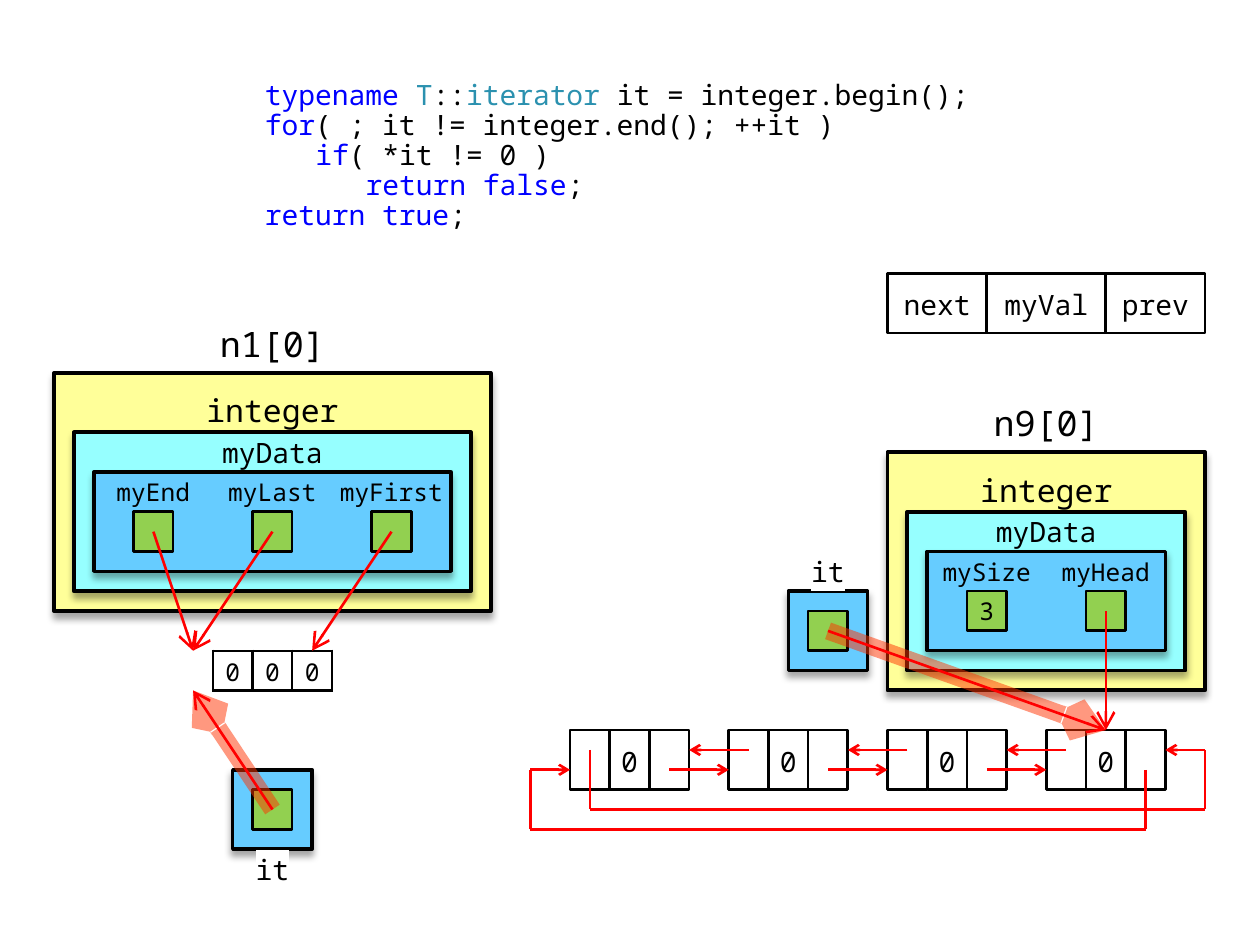
from lxml import etree
from pptx import Presentation
from pptx.dml.color import RGBColor
from pptx.enum.shapes import MSO_CONNECTOR, MSO_SHAPE
from pptx.enum.text import MSO_ANCHOR, PP_ALIGN
from pptx.oxml.ns import qn
from pptx.util import Inches, Pt

RECT, PROCESS = MSO_SHAPE.RECTANGLE, MSO_SHAPE.FLOWCHART_PROCESS
STRAIGHT = MSO_CONNECTOR.STRAIGHT
MIDDLE, CENTER = MSO_ANCHOR.MIDDLE, PP_ALIGN.CENTER

BLACK = RGBColor(0, 0, 0)
BLUE = RGBColor(0, 0, 0xFF)
TEAL = RGBColor(0x2B, 0x91, 0xAF)
RED = RGBColor(0xFF, 0, 0)
ORANGE = RGBColor(0xFF, 0x33, 0)
YELLOW = RGBColor(0xFF, 0xFF, 0x99)
CYAN = RGBColor(0x96, 0xFF, 0xFF)
SKY = RGBColor(0x66, 0xCC, 0xFF)
GREEN = RGBColor(0x92, 0xD0, 0x50)
FONT = "Noto Sans Mono"

# Content: places and sizes are in grid steps of 4 mm
CODE = [  # (indent in characters, coloured pieces)
    (0, [("typename ", BLUE), ("T", TEAL), ("::", BLACK), ("iterator", TEAL),
         (" it = integer.begin();", BLACK)]),
    (0, [("for", BLUE), ("( ; it != integer.end(); ++it )", BLACK)]),
    (3, [("if", BLUE), ("( *it != 0 )", BLACK)]),
    (6, [("return false", BLUE), (";", BLACK)]),
    (0, [("return true", BLUE), (";", BLACK)]),
]
OBJECTS = [  # name, left, top, width, fields with their shown values
    ("n1[0]", 0, 0, 22, [("myEnd", ""), ("myLast", ""), ("myFirst", "")]),
    ("n9[0]", 42, 4, 16, [("mySize", "3"), ("myHead", "")]),
]
ITERATORS = [(37, 11, -2), (9, 20, 4)]  # left, top, label offset
ARRAY = ["0", "0", "0"]
LEGEND = [("next", 5), ("myVal", 6), ("prev", 5)]
NODE_CELLS = [("", 2), ("0", 2), ("", 2)]
NODE_LEFTS = [26 + 8 * i for i in range(4)]
NODE_TOP = 18
POINTERS = [((17, 8), (13, 14)), ((11, 8), (7, 14)), ((5, 8), (7, 14)),
            ((53, 12), (53, 18))]
ITERATOR_POINTERS = [((39, 13), (53, 18)), ((11, 22), (7, 16))]
LOOPS = [
    [(27, 19), (27, 22), (58, 22), (58, 19), (56, 19)],
    [(55, 20), (55, 23), (24, 23), (24, 20), (26, 20)],
]

STEP = Inches(0.4 / 2.54)

deck = Presentation()
deck.slide_width, deck.slide_height = Inches(10), Inches(7.5)
page = deck.slides.add_slide(deck.slide_layouts[6])


def spot(col, row):
    return Inches(0.43) + col * STEP, Inches(2.96) + row * STEP


def area(col, row, width, height):
    return (*spot(col, row), width * STEP, height * STEP)


def child(parent, tag, **values):
    element = etree.SubElement(parent, qn(tag))
    for key, value in values.items():
        element.set(key, str(value))
    return element


def add_span(para, text, size, color=BLACK):
    span = para.add_run()
    span.text = text
    for key, value in {"name": FONT, "size": Pt(size)}.items():
        setattr(span.font, key, value)
    span.font.color.rgb = color
    return span


def write(shape, text, size, insets=(0.05, 0.05)):
    frame = shape.text_frame
    formats = {"word_wrap": True, "vertical_anchor": MIDDLE,
               "margin_left": 0, "margin_right": 0,
               "margin_top": Inches(insets[0]), "margin_bottom": Inches(insets[1])}
    for key, value in formats.items():
        setattr(frame, key, value)
    frame.paragraphs[0].alignment = CENTER
    return add_span(frame.paragraphs[0], text, size)


def add_label(text, place, size, insets=(0.05, 0.05)):
    return write(page.shapes.add_textbox(*area(*place)), text, size, insets)


def add_box(place, fill=None, line=1.5, kind=RECT, shadow=False):
    box = page.shapes.add_shape(kind, *area(*place))
    box.shadow.inherit = False
    if fill is None:
        box.fill.background()
    else:
        box.fill.solid()
        box.fill.fore_color.rgb = fill
    box.line.color.rgb = BLACK
    box.line.width = Pt(line)
    if shadow:
        effects = box._element.spPr.find(qn("a:effectLst"))
        outer = child(effects, "a:outerShdw", blurRad=Pt(4), dist=Pt(3),
                      dir=5400000, rotWithShape=0)
        child(child(outer, "a:srgbClr", val="000000"), "a:alpha", val=35000)
    return box


def add_line(start, end, head=None, color=RED, width=1.5, alpha=None):
    line = page.shapes.add_connector(STRAIGHT, *spot(*start), *spot(*end))
    line.line.color.rgb = color
    line.line.width = Pt(width)
    props = line._element.spPr
    stroke = props.find(qn("a:ln"))
    if alpha:
        child(stroke.find(".//" + qn("a:srgbClr")), "a:alpha", val=alpha * 1000)
    if head:
        child(stroke, "a:tailEnd", type="arrow", w=head, len=head)
    child(props, "a:effectLst")


def add_cells(left, top, cells):
    for text, width in cells:
        box = add_box((left, top, width, 3))
        if text:
            write(box, text, 16, (0.06, 0.04))
        left += width


# Code listing
code_box = page.shapes.add_textbox(*area(10, -15, 38, 9))
code_box.text_frame.word_wrap = True
for i, (indent, pieces) in enumerate(CODE):
    para = code_box.text_frame.paragraphs[0] if i == 0 else code_box.text_frame.add_paragraph()
    para.line_spacing = 0.89
    para._p.get_or_add_pPr().set("marL", str(indent * Pt(9.6)))
    for text, color in pieces:
        add_span(para, text, 16, color)

# Array
table = page.shapes.add_table(1, len(ARRAY), *area(8, 14, 6, 2)).table
table.first_row = table.horz_banding = False
for i, text in enumerate(ARRAY):
    table.columns[i].width = 2 * STEP
    cell = table.cell(0, i)
    formats = {"vertical_anchor": MIDDLE,
               "margin_left": Inches(0.06), "margin_right": Inches(0.06),
               "margin_top": Inches(0.04), "margin_bottom": Inches(0.04)}
    for key, value in formats.items():
        setattr(cell, key, value)
    cell.text_frame.paragraphs[0].alignment = CENTER
    add_span(cell.text_frame.paragraphs[0], text, 14)
    for side in ("a:lnL", "a:lnR", "a:lnT", "a:lnB"):
        border = child(cell._tc.get_or_add_tcPr(), side, w=Pt(1.5))
        child(child(border, "a:solidFill"), "a:srgbClr", val=BLACK)
    cell.fill.background()

# Objects with their nested members
for name, left, top, width, fields in OBJECTS:
    add_box((left, top, width, 12), YELLOW, 2.25, PROCESS, True)
    add_box((left + 1, top + 3, width - 2, 8), CYAN, 2.25, PROCESS, True)
    add_box((left + 2, top + 5, width - 4, 5), SKY, 2, PROCESS, True)
    middle = left + width / 2 - 4
    add_label(name, (middle, top - 3, 8, 3), 20)
    add_label("integer", (middle, top, 8, 3), 18, (0.12, 0))
    add_label("myData", (middle, top + 3, 8, 2), 16, (0, 0))
    for i, (field, value) in enumerate(fields):
        field_left = left + 2 + 6 * i
        add_label(field, (field_left, top + 5, 6, 2), 14)
        square = add_box((field_left + 2, top + 7, 2, 2), GREEN)
        if value:
            write(square, value, 14)

# Iterators
for left, top, offset in ITERATORS:
    add_box((left, top, 4, 4), SKY, 2, PROCESS, True)
    add_box((left + 1, top + 1, 2, 2), GREEN)
    span = add_label("it", (left, top + offset, 4, 2), 16)
    props = span._r.get_or_add_rPr()
    highlight = child(props, "a:highlight")
    child(highlight, "a:srgbClr", val="FFFFFF")
    props.find(qn("a:solidFill")).addnext(highlight)

# Legend and list nodes
add_cells(42, -5, LEGEND)
for left in NODE_LEFTS:
    add_cells(left, NODE_TOP, NODE_CELLS)

# Pointers
for start, end in ITERATOR_POINTERS:
    add_line(start, end, "sm", ORANGE, 10, 50)
for start, end in ITERATOR_POINTERS + POINTERS:
    add_line(start, end, "lg")

# Links between neighbours, then around the ends
for left, right in zip(NODE_LEFTS, NODE_LEFTS[1:]):
    add_line((right + 1, NODE_TOP + 1), (left + 6, NODE_TOP + 1), "med")
    add_line((left + 5, NODE_TOP + 2), (right, NODE_TOP + 2), "med")
for loop in LOOPS:
    for start, end in zip(loop, loop[1:]):
        add_line(start, end, "med" if end == loop[-1] else None)

deck.save("out.pptx")
